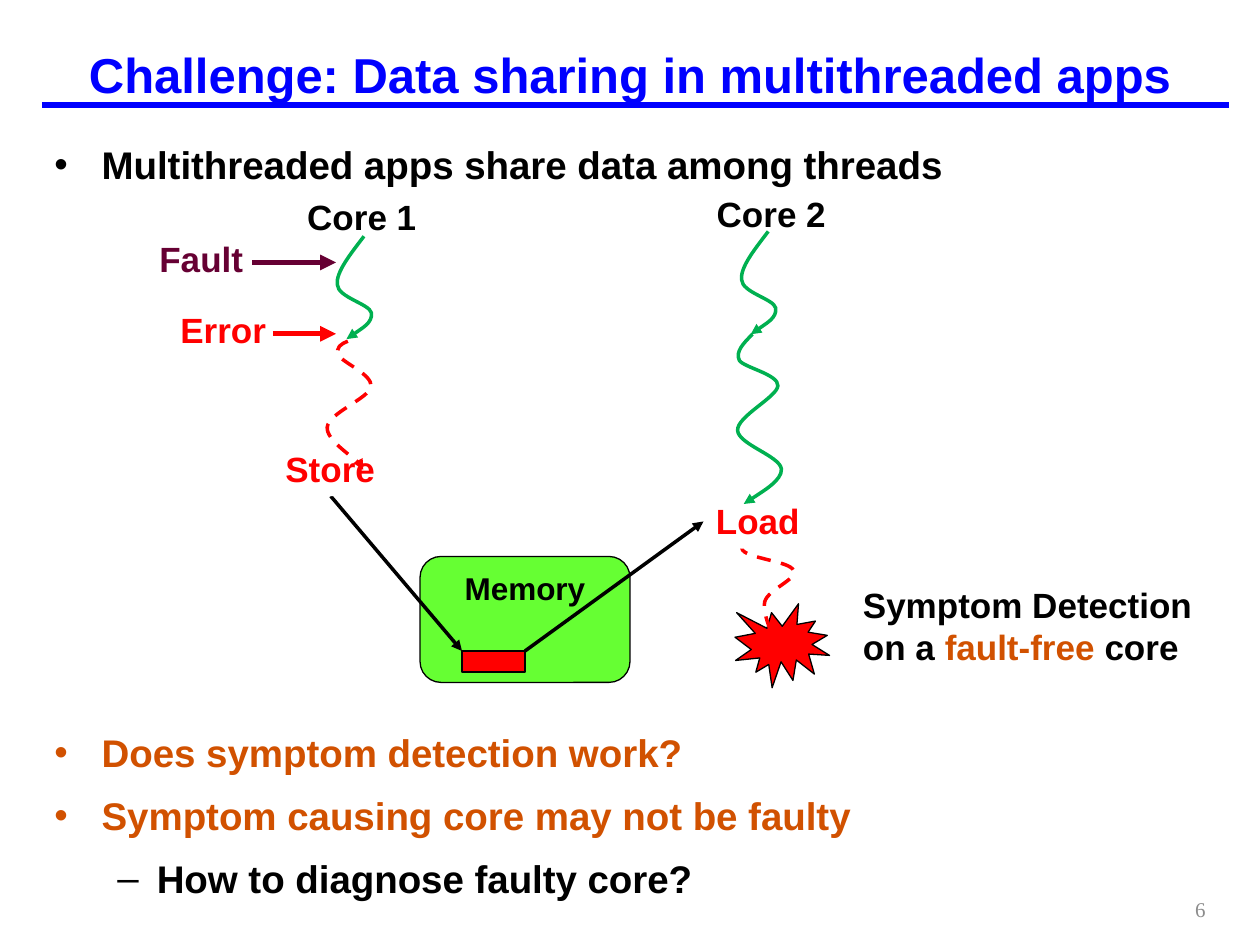
"""Build the slide on data sharing between the cores of a multithreaded app."""
from lxml.etree import SubElement
from pptx import Presentation
from pptx.dml.color import RGBColor
from pptx.enum.dml import MSO_LINE
from pptx.enum.shapes import MSO_CONNECTOR, MSO_SHAPE
from pptx.enum.text import MSO_ANCHOR, PP_ALIGN
from pptx.oxml.ns import qn
from pptx.util import Pt

BLACK = RGBColor(0x00, 0x00, 0x00)
WHITE = RGBColor(0xFF, 0xFF, 0xFF)
BLUE = RGBColor(0x00, 0x00, 0xFF)
RED = RGBColor(0xFF, 0x00, 0x00)
GREEN = RGBColor(0x00, 0xB0, 0x50)
LIME = RGBColor(0x66, 0xFF, 0x33)
ORANGE = RGBColor(0xD1, 0x51, 0x00)
PLUM = RGBColor(0x66, 0x00, 0x33)
GRAY = RGBColor(0x8C, 0x8C, 0x8C)

prs = Presentation()
prs.slide_width, prs.slide_height = Pt(720), Pt(540)
slide = prs.slides.add_slide(prs.slide_layouts[6])
shapes = slide.shapes


def add_text(box, paragraphs, size, align=PP_ALIGN.LEFT, anchor=MSO_ANCHOR.TOP,
             wrap=True, font="Arial", bold=True, kind=None, fill=None, outline=None):
    """Add a text box or filled shape; a paragraph is a list of (text, colour) runs."""
    if kind is None:
        s = shapes.add_textbox(*map(Pt, box))
    else:
        s = shapes.add_shape(kind, *map(Pt, box))
        s.shadow.inherit = False
        s.fill.solid()
        s.fill.fore_color.rgb = fill
        if outline is None:
            s.line.fill.background()
        else:
            s.line.color.rgb = outline
            s.line.width = Pt(0.75)
    tf = s.text_frame
    tf.word_wrap = wrap
    tf.vertical_anchor = anchor
    for i, runs in enumerate(paragraphs):
        p = tf.paragraphs[0] if i == 0 else tf.add_paragraph()
        p.alignment = align
        for text, color in runs:
            r = p.add_run()
            r.text = text
            r.font.name, r.font.size, r.font.bold = font, Pt(size), bold
            r.font.color.rgb = color
    return tf


def add_line(points, color, width=2, arrow=True, dashed=False):
    """Join two points by a straight line, or more by a chain of cubic curves."""
    points = [(Pt(x), Pt(y)) for x, y in points]
    if len(points) == 2:
        s = shapes.add_connector(MSO_CONNECTOR.STRAIGHT, *points[0], *points[1])
    else:
        builder = shapes.build_freeform(*points[0])
        builder.add_line_segments(points[1:], close=False)
        s = builder.convert_to_shape()
        s.fill.background()
        outline = next(s._element.iter(qn("a:path")))
        segments = outline.findall(qn("a:lnTo"))
        for i in range(0, len(segments), 3):
            curve = SubElement(outline, qn("a:cubicBezTo"))
            for segment in segments[i:i + 3]:
                curve.append(segment[0])
                outline.remove(segment)
    s.line.color.rgb = color
    s.line.width = Pt(width)
    if dashed:
        s.line.dash_style = MSO_LINE.DASH
    if arrow:
        SubElement(s.line._get_or_add_ln(), qn("a:tailEnd"), type="triangle")
    SubElement(s._element.spPr, qn("a:effectLst"))


add_line([(24, 60), (702, 60)], BLUE, 3, arrow=False)
add_text((0, 12, 720, 60), [[("Challenge: Data sharing in multithreaded apps", BLUE)]],
         28, PP_ALIGN.CENTER, MSO_ANCHOR.MIDDLE)

bullets = [
    ("Multithreaded apps share data among threads", BLACK, 0, 4.4),
    ("Does symptom detection work?", ORANGE, 0, 304),
    ("Symptom causing core may not be faulty", ORANGE, 0, 4.4),
    ("How to diagnose faulty core?", BLACK, 1, 4.4),
]
tf = add_text((24, 72, 678, 432), [[(text, color)] for text, color, _, _ in bullets], 22)
for p, (_, _, level, before) in zip(tf.paragraphs, bullets):
    p.level = level
    p.line_spacing = 1.2
    p.space_before = Pt(before)
    pPr = p._p.get_or_add_pPr()
    margin, hang, mark = ((27, 27, "\u2022"), (58.5, 22.5, "\u2013"))[level]
    pPr.set("marL", str(Pt(margin)))
    pPr.set("indent", str(-Pt(hang)))
    SubElement(pPr, qn("a:buFont"), typeface="Arial")
    SubElement(pPr, qn("a:buChar"), char=mark)

add_text((528, 505.5, 168, 28.5), [[("6", GRAY)]], 12, PP_ALIGN.RIGHT,
         MSO_ANCHOR.MIDDLE, font="Times New Roman", bold=False)

add_text((240, 318, 120, 72), [[("Memory", BLACK)]], 18, PP_ALIGN.CENTER,
         kind=MSO_SHAPE.ROUNDED_RECTANGLE, fill=LIME, outline=BLACK)
add_line([(189, 283.5), (264, 372)], BLACK)
add_text((264, 372, 36, 12), [], 18, kind=MSO_SHAPE.RECTANGLE, fill=RED, outline=BLACK)
add_text((486, 330, 234, 55.5),
         [[("Symptom Detection", BLACK)],
          [("on a ", BLACK), ("fault-free", ORANGE), (" core", BLACK)]], 20)
add_text((420, 345, 54, 48), [], 18, kind=MSO_SHAPE.EXPLOSION1, fill=RED, outline=BLACK)

symptom = [(448, 294), (435.5, 301), (422.5, 308), (424, 313.5),
           (425, 319), (451.5, 320.5), (453.5, 326),
           (456, 331), (438.5, 337), (437, 344),
           (435.5, 351.5), (443, 366.5), (445, 371),
           (446.5, 375), (447, 373), (448, 371)]
add_line(symptom, RED, arrow=False, dashed=True)

for text, left, top, width in [("Store", 156, 252, 66), ("Load", 402, 282, 62.5)]:
    add_text((left, top, width, 31.5), [[(text, RED)]], 20, wrap=False,
             kind=MSO_SHAPE.RECTANGLE, fill=WHITE)
add_line([(300, 372), (402, 298)], BLACK)

core_1 = [(208, 135), (200, 145.5), (192, 155.5), (192.75, 162.5),
          (193, 170), (211, 173.5), (212.25, 178.75),
          (213, 184.5), (198, 193.75), (198, 193.75)]
core_2 = [(x + 231, y - 2.75) for x, y in core_1]
core_2_rest = [(430, 191), (425, 196), (420, 201), (422.5, 206),
               (425, 210), (445, 214), (444.5, 220.5),
               (444, 227), (421, 238), (421.5, 246),
               (422, 254), (445.5, 260.5), (446.5, 268),
               (447, 274.5), (425, 288), (425, 288)]
corrupted = [(198.75, 195), (195, 196.5), (191.5, 198.5), (193.5, 203),
             (196, 207.5), (213, 214), (212, 221),
             (211, 227.5), (188, 236), (187, 244),
             (186, 251.5), (202.5, 261.5), (206, 265.5),
             (209.5, 270), (208, 269.5), (207.5, 268.5)]
for curve in (core_1, core_2, core_2_rest):
    add_line(curve, GREEN)
add_line(corrupted, RED, dashed=True)

add_line([(144, 150), (192, 150)], PLUM, 3)
add_line([(156, 190.75), (192, 190.75)], RED, 3)
labels = [
    ("Core 1", 168.5, 108, 77, BLACK),
    ("Core 2", 402.5, 106.5, 77, BLACK),
    ("Fault", 84, 132, 62.5, PLUM),
    ("Error", 96, 172.5, 64, RED),
]
for text, left, top, width, color in labels:
    add_text((left, top, width, 31.5), [[(text, color)]], 20, wrap=False)

prs.save("out.pptx")
